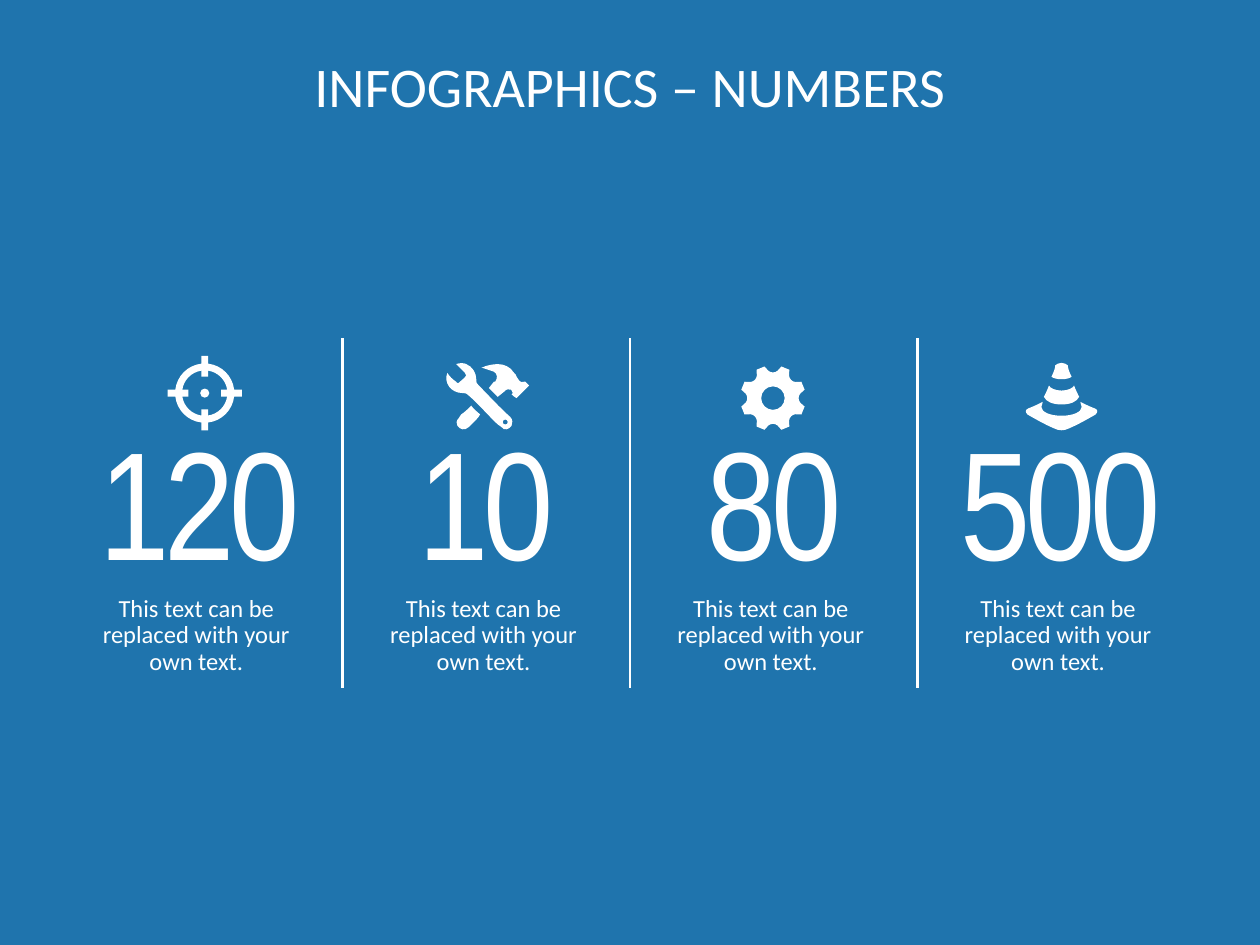
import math

from lxml import etree
from pptx import Presentation
from pptx import util as u
from pptx.dml.color import RGBColor
from pptx.enum import shapes, text
from pptx.oxml.ns import qn

BLUE = RGBColor(0x1F, 0x74, 0xAD)
WHITE = RGBColor(0xFF, 0xFF, 0xFF)

CAPTION = ("This text can be ", "replaced with your ", "own text. ")


def polar(centre, radius, degrees):
    angle = math.radians(degrees)
    return centre[0] + radius * math.cos(angle), centre[1] + radius * math.sin(angle)


def straight(*corners):
    return [point for a, b in zip(corners, corners[1:]) for point in (a, b, b)]


def arc(centre, radius, begin, end):
    sweep = math.radians(end - begin)
    pull = 4 / 3 * math.tan(sweep / 4)
    reach, lean = radius * math.hypot(1, pull), math.degrees(math.atan(pull))
    return [polar(centre, reach, begin + lean), polar(centre, reach, end - lean),
            polar(centre, radius, end)]


def circle(centre, radius):
    points = [polar(centre, radius, 0)]
    for quarter in range(0, -360, -90):
        points += arc(centre, radius, quarter, quarter - 90)
    return points


def crossed_ring(centre, radius, tip, half=2.7):
    gap = math.degrees(math.asin(half / radius))
    reach, spread = math.hypot(tip, half), math.degrees(math.atan2(half, tip))
    points = [polar(centre, reach, -spread)]
    for quarter in range(0, 360, 90):
        points += straight(points[-1], polar(centre, reach, quarter + spread),
                           polar(centre, radius, quarter + gap))
        points += arc(centre, radius, quarter + gap, quarter + 90 - gap)
        points += straight(points[-1], polar(centre, reach, quarter + 90 - spread))
    return points


def gear_rim(centre, teeth=8):
    points = [polar(centre, 26, -15)]
    for tooth in range(teeth):
        notch = 360 / teeth * tooth
        points += straight(points[-1], polar(centre, 22, notch - 9.5))
        points += [polar(centre, 20, notch - 4), polar(centre, 20, notch + 4),
                   polar(centre, 22, notch + 9.5)]
        points += straight(points[-1], polar(centre, 26, notch + 15))
        points += straight(points[-1], polar(centre, 26, notch + 360 / teeth - 15))
    return points


def mirrored(half):
    return half + [(-x, y) for x, y in half[-2::-1]]


def shifted(points, dx):
    return [(x + dx, y) for x, y in points]


TARGET_CENTRE = (4.5, 32)
GEAR_CENTRE = (-0.5, 36)

TARGET = [
    [crossed_ring(TARGET_CENTRE, 23.5, 29.5), crossed_ring(TARGET_CENTRE, 18, 13)[::-1]],
    [circle(TARGET_CENTRE, 3.6)],
]

WRENCH = [
    (5, 16), (7, 19), (9, 21), (12, 23), (12, 24), (13, 24), (14, 24),
    (16, 22), (19, 20), (20, 18), (20, 17), (20, 17), (19, 16),
    (17, 14), (15, 12), (13, 10), (13, 10), (13, 9), (12, 9),
    (15, 8), (18, 8), (20, 9), (25, 11), (28, 16), (28, 21),
    (28, 23), (28, 25), (30, 26), (38, 34), (46, 43), (55, 51),
    (57, 53), (57, 56), (56, 58), (54, 61), (50, 62), (48, 59),
    (46, 58), (44, 56), (42, 54), (35, 47), (29, 40), (22, 34),
    (20, 32), (19, 32), (17, 32), (8, 32), (2, 24), (5, 16)]

HAMMER_HEAD = [
    (38, 28), (39, 26), (41, 25), (42, 23), (42, 23), (43, 23), (43, 23),
    (45, 20), (45, 17), (42, 15), (39, 14), (36, 13), (33, 12),
    (33, 12), (32, 12), (32, 12), (36, 10), (41, 9), (45, 9),
    (50, 9), (55, 11), (58, 16), (59, 17), (60, 18), (60, 19),
    (61, 20), (61, 21), (62, 22), (63, 23), (64, 24), (66, 23),
    (67, 23), (67, 23), (67, 23), (68, 24), (69, 25), (70, 26),
    (67, 29), (63, 33), (60, 36), (58, 35), (57, 34), (56, 33),
    (56, 33), (57, 32), (57, 32), (57, 30), (55, 28), (53, 29),
    (52, 29), (51, 30), (50, 31), (48, 32), (47, 34), (45, 35),
    (43, 33), (40, 30), (38, 28)]

HAMMER_HANDLE = [
    (24, 42), (26, 45), (29, 47), (31, 49), (30, 51), (29, 52), (28, 53),
    (26, 55), (24, 57), (22, 59), (19, 62), (15, 61), (13, 58),
    (12, 56), (12, 54), (14, 52), (14, 51), (16, 50), (16, 49),
    (19, 47), (21, 45), (23, 43), (23, 42), (24, 42), (24, 42)]

TOOLS = [[shifted(outline, -36) for outline in part]
         for part in ([WRENCH, circle((51, 55), 2)], [HAMMER_HEAD], [HAMMER_HANDLE])]

GEAR = [[gear_rim(GEAR_CENTRE), circle(GEAR_CENTRE, 9.3)]]

CONE_TIP = [(0, 8), (2, 8), (4, 9), (5, 10), (5, 12), (6, 15), (8, 19),
            (7, 20), (4, 21), (0, 21)]
CONE_BAND = [(0, 30), (5, 30), (9, 28), (10, 26), (11, 29), (13, 33), (14, 35),
             (12, 39), (7, 41), (0, 41)]
CONE_BASE = [(0, 50), (9, 50), (16, 47), (16, 43), (15.5, 41), (15, 40), (15, 39),
             (19, 41), (22, 42.5), (26, 44), (29, 45), (29, 47), (27, 49),
             (20, 53), (13, 57), (6, 60), (4, 61), (2, 61.5), (0, 61.5)]
CONE = [[shifted(mirrored(half), 0.5) for half in (CONE_TIP, CONE_BAND, CONE_BASE)]]


class NumbersSlide:
    left, column = 0.44, 2.28
    body_font, number_font = "Calibri", "Arial Narrow"

    def __init__(self, deck):
        self.slide = deck.slides.add_slide(deck.slide_layouts[6])
        self.slide.background.fill.solid()
        self.slide.background.fill.fore_color.rgb = BLUE

    def x(self, columns):
        return self.left + self.column * columns

    def label(self, column, top, span, height, lines, size, font, spacing,
              anchor=text.MSO_ANCHOR.TOP, insets=(0, 0, 0, 0), wrap=True, after=0, tracking=0):
        box = self.slide.shapes.add_textbox(u.Inches(self.x(column)), u.Inches(top),
                                            u.Inches(span * self.column), u.Inches(height))
        frame = box.text_frame
        frame.word_wrap = wrap
        frame.vertical_anchor = anchor
        (frame.margin_left, frame.margin_top,
         frame.margin_right, frame.margin_bottom) = map(u.Inches, insets)
        paragraph = frame.paragraphs[0]
        paragraph.alignment = text.PP_ALIGN.CENTER
        paragraph.line_spacing = spacing
        paragraph.space_after = u.Pt(after)
        for index, line in enumerate(lines):
            if index:
                paragraph.add_line_break()
            run = paragraph.add_run()
            run.text = line
            run.font.name = font
            run.font.size = u.Pt(size)
            run.font.color.rgb = WHITE
            if tracking:
                run._r.get_or_add_rPr().set("spc", str(tracking * 100))

    def title(self, words):
        self.label(0, 0.47, 4, 1.18, [words], 32, self.body_font, 0.9)

    def number(self, column, value):
        self.label(column, 3.44, 1, 1.4, [value], 88, self.number_font, 0.8,
                   text.MSO_ANCHOR.MIDDLE, (0.08, 0.08, 0.08, 0.16), False, 10, -3)

    def caption(self, column, lines):
        self.label(column, 4.62, 1, 0.74, lines, 14, self.body_font, 0.9,
                   text.MSO_ANCHOR.BOTTOM, (0.2, 0, 0.2, 0), after=10)

    def divider(self, column):
        x = u.Inches(self.x(column))
        rule = self.slide.shapes.add_connector(shapes.MSO_CONNECTOR.STRAIGHT,
                                               x, u.Inches(5.46), x, u.Inches(2.68))
        rule.line.color.rgb = WHITE
        rule.line.width = u.Pt(1.5)
        etree.SubElement(rule._element.spPr, qn("a:effectLst"))

    def icon(self, column, parts):
        centre = self.x(column + 0.5)
        for outlines in parts:
            builder = None
            for outline in outlines:
                points = [(u.Inches(centre + x / 100), u.Inches(2.8 + y / 100))
                          for x, y in outline]
                if builder is None:
                    builder = self.slide.shapes.build_freeform(*points[0])
                else:
                    builder.move_to(*points[0])
                builder.add_line_segments(points[1:], close=True)
            drawing = builder.convert_to_shape()
            self.round_off(drawing)
            drawing.shadow.inherit = False
            drawing.fill.solid()
            drawing.fill.fore_color.rgb = WHITE
            drawing.line.fill.background()

    def round_off(self, drawing):
        steps = list(drawing._element.iter(qn("a:lnTo")))
        for first, second, end in zip(steps[::3], steps[1::3], steps[2::3]):
            first.tag = qn("a:cubicBezTo")
            for step in (second, end):
                first.append(step[0])
                step.getparent().remove(step)


def main():
    deck = Presentation()
    deck.slide_width, deck.slide_height = u.Inches(10), u.Inches(7.5)
    page = NumbersSlide(deck)
    page.title("INFOGRAPHICS – NUMBERS")
    for column in (1, 2, 3):
        page.divider(column)
    figures = (("120", TARGET), ("10", TOOLS), ("80", GEAR), ("500", CONE))
    for column, (value, drawing) in reversed(list(enumerate(figures))):
        page.number(column, value)
        page.caption(column, CAPTION)
        page.icon(column, drawing)
    deck.save("out.pptx")


if __name__ == "__main__":
    main()
